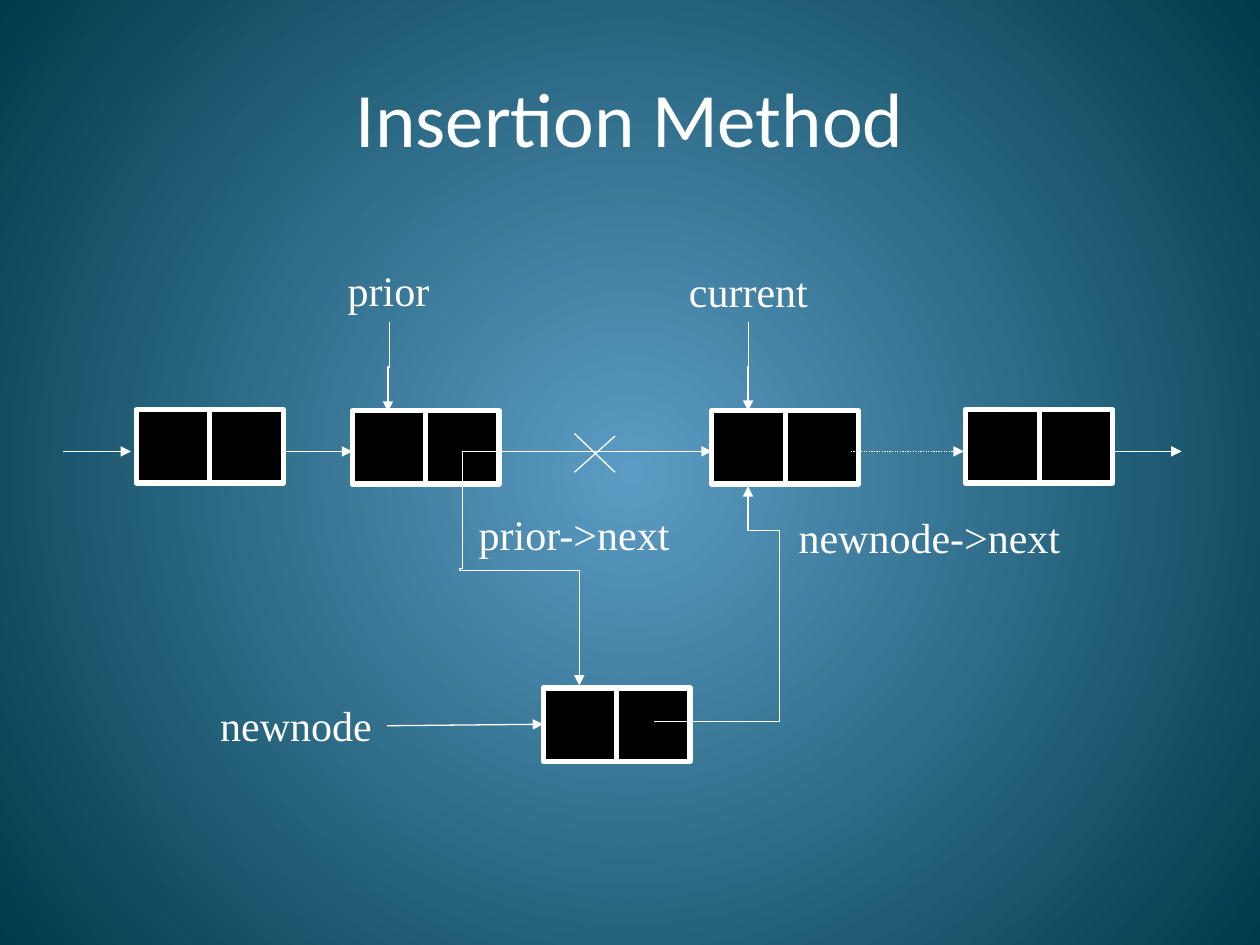
from dataclasses import dataclass

from pptx import Presentation
from pptx.dml.color import RGBColor as Rgb
from pptx.enum.dml import MSO_LINE as Dash
from pptx.enum.shapes import MSO_CONNECTOR as Link, MSO_SHAPE as Form
from pptx.enum.text import MSO_ANCHOR as Anchor, MSO_AUTO_SIZE as Auto, PP_ALIGN as Align
from pptx.oxml.ns import qn
from pptx.oxml.xmlchemy import OxmlElement as Node
from pptx.util import Cm, Pt


@dataclass
class Theme:
    """Colours, fonts and sizes of the slide."""
    ink: Rgb = Rgb(0xFF, 0xFF, 0xFF)
    cell: Rgb = Rgb(0, 0, 0)
    glow: Rgb = Rgb(0x5C, 0x9C, 0xC4)
    edge: Rgb = Rgb(0x00, 0x3B, 0x4B)
    head: str = "Calibri"
    body: str = "Times New Roman"
    big: Pt = Pt(44)
    text: Pt = Pt(24)
    thin: Pt = Pt(0.75)
    thick: Pt = Pt(3)


def apply(item, values):
    """Set each named attribute on an item."""
    for name, value in values.items():
        setattr(item, name, value)


def add(parent, tag, attrs=None):
    """Append an XML child with attributes."""
    child = Node(tag)
    for name, value in (attrs or {}).items():
        child.set(name, str(value))
    parent.append(child)
    return child


class Board:
    """Draws styled elements on one slide."""
    side = 1.48

    def __init__(self, slide, theme):
        """Keep the slide and its theme."""
        self.slide, self.theme = slide, theme
        self.shapes = slide.shapes

    def back(self):
        """Fill the background with a round gradient."""
        fill = self.slide.background.fill
        fill.gradient()
        colors = (self.theme.glow, self.theme.edge)
        for place, (stop, color) in enumerate(zip(fill.gradient_stops, colors)):
            stop.color.rgb, stop.position = color, place
        grad = self.slide.element.find(".//" + qn("a:gradFill"))
        grad.remove(grad.find(qn("a:lin")))
        ring = add(grad, "a:path", {"path": "circle"})
        add(ring, "a:fillToRect", dict.fromkeys("ltrb", 50000))

    def put(self, frame, text, font, size):
        """Put one styled run in a text frame."""
        run = frame.paragraphs[0].add_run()
        run.text = text
        apply(run.font, {"name": font, "size": size})
        run.font.color.rgb = self.theme.ink

    def title(self, text, left, top, width, height):
        """Place and fill the title."""
        shape = self.shapes.title
        apply(shape, {"left": Cm(left), "top": Cm(top),
                      "width": Cm(width), "height": Cm(height)})
        frame = shape.text_frame
        frame.vertical_anchor = Anchor.MIDDLE
        frame.paragraphs[0].alignment = Align.CENTER
        self.put(frame, text, self.theme.head, self.theme.big)

    def label(self, text, left, top, width):
        """Add a one-line label."""
        box = self.shapes.add_textbox(Cm(left), Cm(top), Cm(width), Cm(1.27))
        frame = box.text_frame
        apply(frame, {"word_wrap": False, "auto_size": Auto.SHAPE_TO_FIT_TEXT})
        self.put(frame, text, self.theme.body, self.theme.text)

    def node(self, left, top):
        """Add a list node of two cells."""
        group = self.shapes.add_group_shape()
        for col in range(2):
            cell = group.shapes.add_shape(
                Form.RECTANGLE, Cm(left + col * self.side), Cm(top),
                Cm(self.side), Cm(self.side))
            cell.shadow.inherit = False
            cell.fill.solid()
            cell.fill.fore_color.rgb = self.theme.cell
            cell.line.color.rgb = self.theme.ink
            cell.line.width = self.theme.thick

    def line(self, x1, y1, x2, y2, tip=True, dash=None, kind=Link.STRAIGHT, home=None):
        """Add a connector, with an arrowhead if asked."""
        link = (home or self.shapes).add_connector(kind, Cm(x1), Cm(y1), Cm(x2), Cm(y2))
        link.line.color.rgb = self.theme.ink
        apply(link.line, {"width": self.theme.thin, "dash_style": dash})
        props = link.element.spPr
        if tip:
            add(props.find(qn("a:ln")), "a:tailEnd", {"type": "triangle"})
        add(props, "a:effectLst")
        return link

    def cross(self, *lines):
        """Add a group of plain strokes."""
        group = self.shapes.add_group_shape()
        for ends in lines:
            self.line(*ends, tip=False, home=group.shapes)

    def elbow(self, x1, y1, x2, y2, *bends):
        """Add a bent arrow that leaves and arrives vertically."""
        wide, high = abs(y2 - y1), abs(x2 - x1)
        left, top = (x1 + x2 - wide) / 2, (y1 + y2 - high) / 2
        link = self.line(left, top, left + wide, top + high, kind=Link.ELBOW)
        props = link.element.spPr
        frame = props.find(qn("a:xfrm"))
        frame.set("rot", "5400000")
        if y2 < y1:
            frame.set("flipH", "1")
        if x2 > x1:
            frame.set("flipV", "1")
        geom = props.find(qn("a:prstGeom"))
        geom.set("prst", f"bentConnector{len(bends) + 2}")
        guides = geom.find(qn("a:avLst"))
        for rank, bend in enumerate(bends, 1):
            add(guides, "a:gd", {"name": f"adj{rank}", "fmla": f"val {round(bend * 100000)}"})


def main():
    """Build and save the slide."""
    deck = Presentation()
    apply(deck, {"slide_width": Cm(25.4), "slide_height": Cm(19.05)})
    board = Board(deck.slides.add_slide(deck.slide_layouts[5]), Theme())
    board.back()
    board.title("Insertion Method", 1.27, 0.76, 22.86, 3.18)

    for spot in ((2.75, 8.26), (7.1, 8.28), (14.35, 8.28), (19.47, 8.26), (10.95, 13.87)):
        board.node(*spot)

    row = 9.1
    for start, end in ((1.27, 2.64), (5.72, 7.1), (9.32, 14.35), (22.43, 23.82)):
        board.line(start, row, end, row)
    board.line(17.15, row, 19.43, row, dash=Dash.ROUND_DOT)
    board.line(7.8, 14.63, 10.95, 14.6)
    board.cross((11.58, 8.74, 12.4, 9.52), (11.58, 9.52, 12.4, 8.79))

    board.elbow(7.85, 6.5, 7.82, 8.3, 0.5)
    board.elbow(15.09, 6.5, 15.08, 8.28, 0.5)
    board.elbow(9.32, row, 11.68, 13.82, 0.5, -0.02, 0.51)
    board.line(13.18, 14.55, 15.72, 14.55, tip=False)
    board.line(15.72, 14.55, 15.72, 11.63, tip=False)
    board.elbow(15.72, 11.63, 15.08, 9.8, 0.51)

    for item in (("prior", 6.76, 5.21, 2.18), ("current", 13.64, 5.23, 2.92),
                 ("newnode", 4.19, 13.97, 3.61), ("prior->next", 9.4, 10.13, 4.39),
                 ("newnode->next", 15.85, 10.19, 5.84)):
        board.label(*item)
    deck.save("out.pptx")


main()
